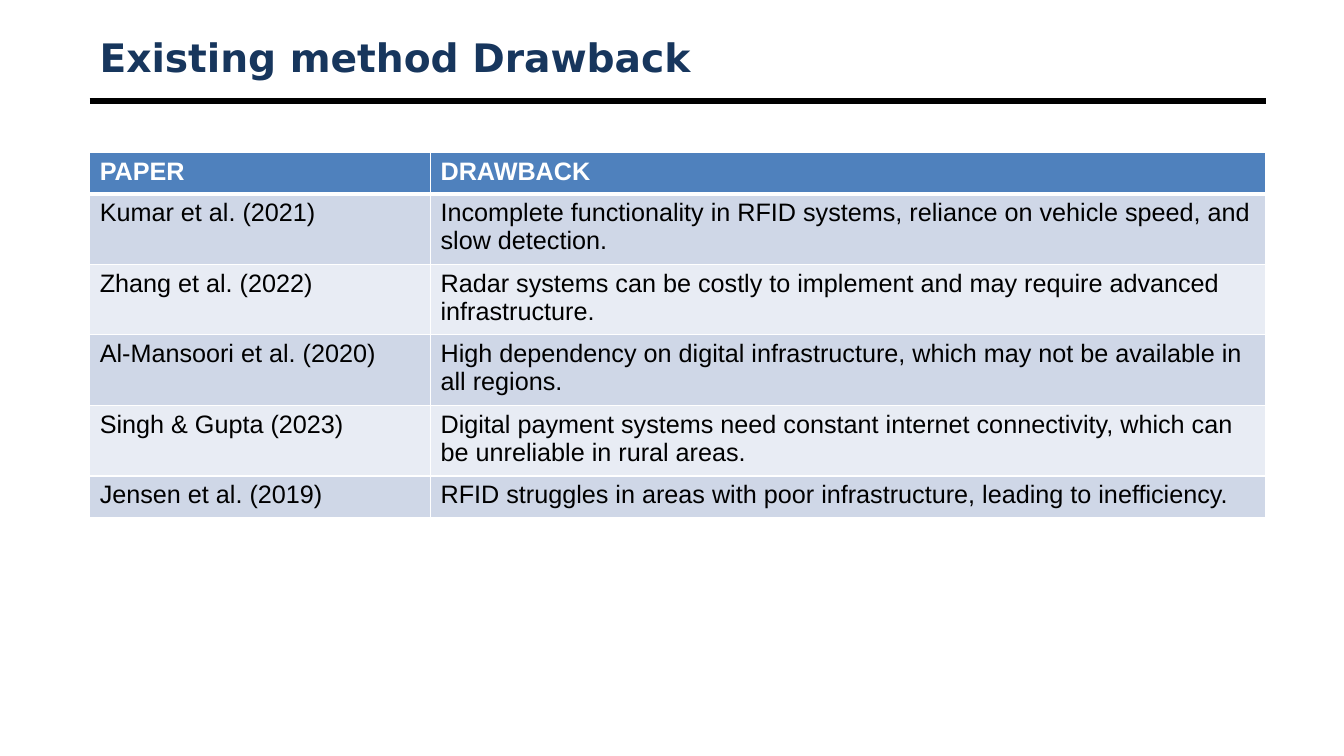
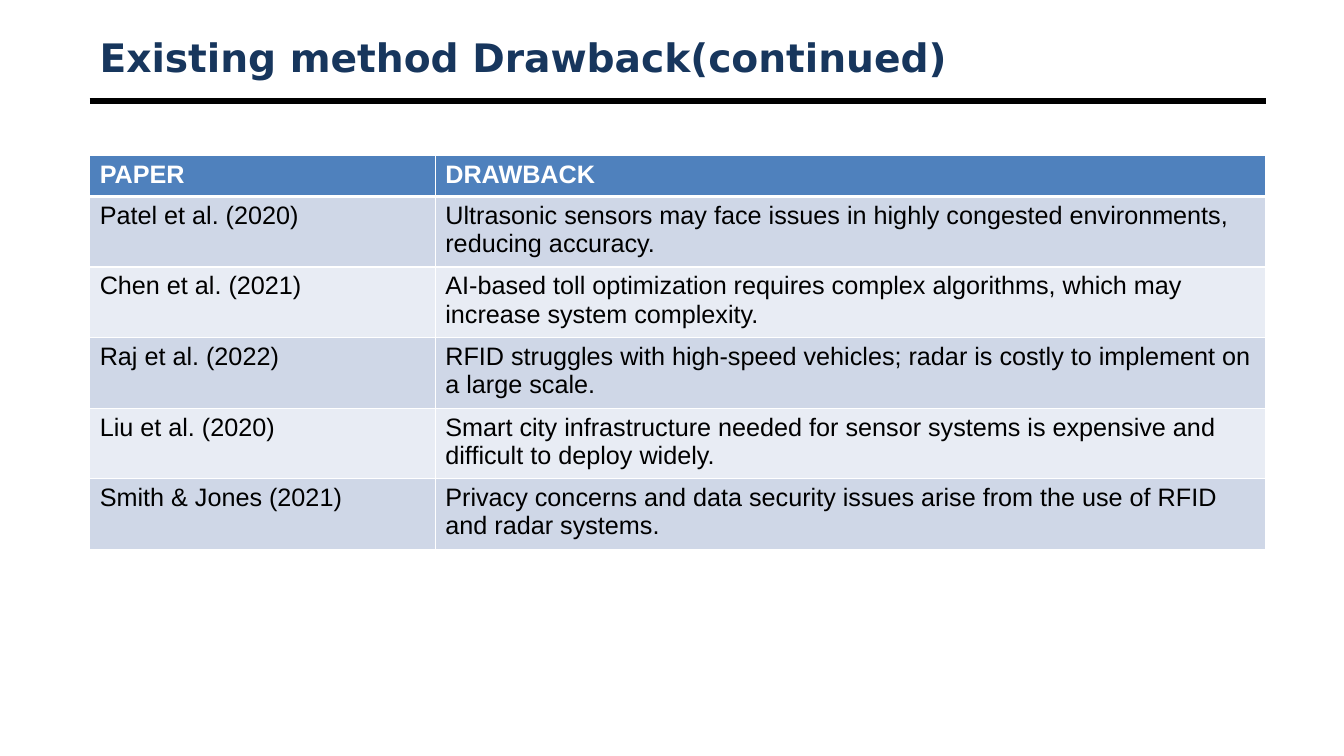
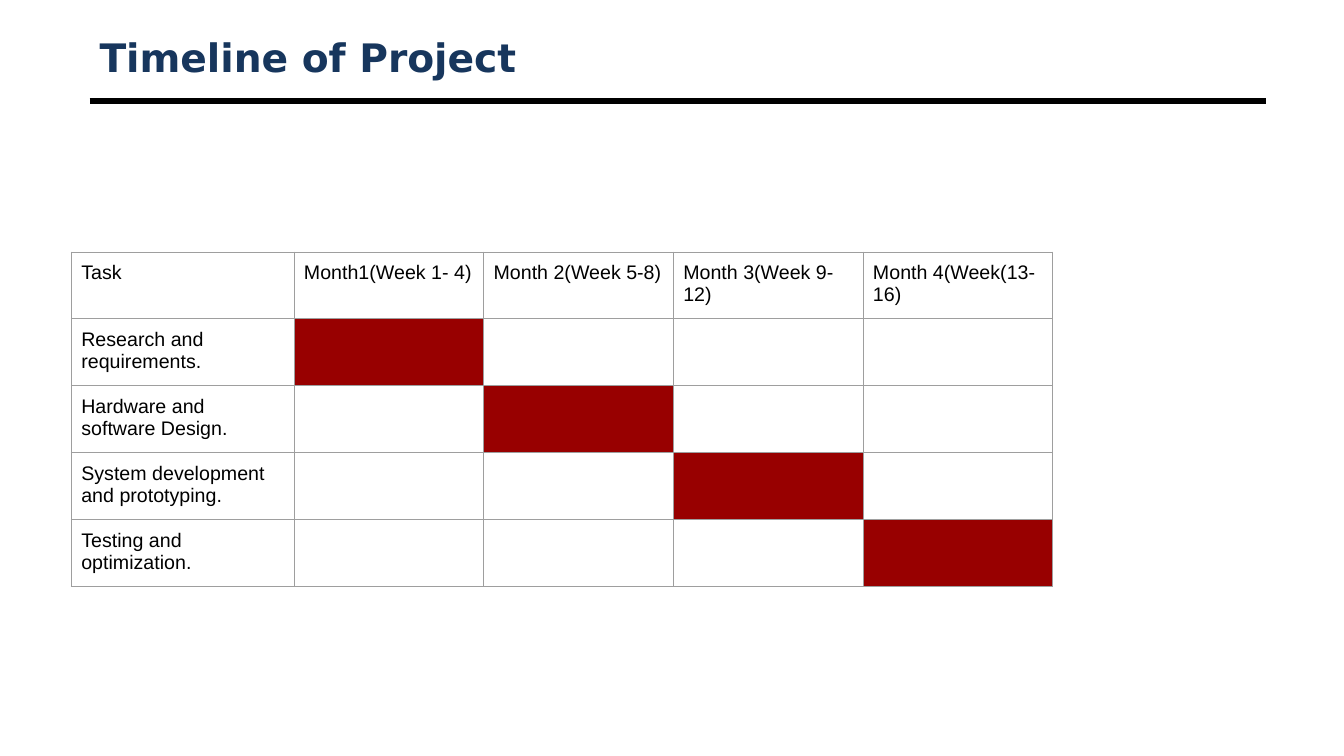
from dataclasses import dataclass

from lxml.etree import SubElement
from pptx import Presentation
from pptx.dml.color import RGBColor
from pptx.enum.shapes import MSO_CONNECTOR
from pptx.enum.text import MSO_ANCHOR
from pptx.oxml.ns import qn
from pptx.util import Cm, Pt


@dataclass(frozen=True)
class Theme:
    title_font: str = "DejaVu Sans"
    body_font: str = "Arial"
    title_size: float = 28
    table_size: float = 18
    timeline_size: float = 14
    title_color: str = "17365D"
    text_color: str = "000000"
    header_text: str = "FFFFFF"
    header_fill: str = "4F81BD"
    band_fills: tuple = ("CFD7E7", "E8ECF4")
    table_border: str = "FFFFFF"
    timeline_border: str = "9E9E9E"
    active_fill: str = "980000"
    rule_width: float = 4.5
    left: float = 2.26
    width: float = 29.64


THEME = Theme()

DRAWBACKS = [
    ("Kumar et al. (2021)",
     "Incomplete functionality in RFID systems, reliance on vehicle speed, and slow detection."),
    ("Zhang et al. (2022)",
     "Radar systems can be costly to implement and may require advanced infrastructure."),
    ("Al-Mansoori et al. (2020)",
     "High dependency on digital infrastructure, which may not be available in all regions."),
    ("Singh & Gupta (2023)",
     "Digital payment systems need constant internet connectivity, which can be unreliable in rural areas."),
    ("Jensen et al. (2019)",
     "RFID struggles in areas with poor infrastructure, leading to inefficiency."),
]

MORE_DRAWBACKS = [
    ("Patel et al. (2020)",
     "Ultrasonic sensors may face issues in highly congested environments, reducing accuracy."),
    ("Chen et al. (2021)",
     "AI-based toll optimization requires complex algorithms, which may increase system complexity."),
    ("Raj et al. (2022)",
     "RFID struggles with high-speed vehicles; radar is costly to implement on a large scale."),
    ("Liu et al. (2020)",
     "Smart city infrastructure needed for sensor systems is expensive and difficult to deploy widely."),
    ("Smith & Jones (2021)",
     "Privacy concerns and data security issues arise from the use of RFID and radar systems."),
]

MONTHS = ["Month1(Week 1- 4)", "Month 2(Week 5-8)", "Month 3(Week 9-12)", "Month 4(Week(13-16)"]

TASKS = [
    "Research and requirements.",
    "Hardware and software Design.",
    "System development and prototyping.",
    "Testing and optimization.",
]


def add_run(paragraph, text, font, size, color, bold=False):
    run = paragraph.add_run()
    run.text = text
    run.font.name = font
    run.font.size = Pt(size)
    run.font.bold = bold
    run.font.color.rgb = RGBColor.from_string(color)


def add_rule(slide):
    rule = slide.shapes.add_connector(
        MSO_CONNECTOR.STRAIGHT, Cm(THEME.left), Cm(2.54), Cm(THEME.left + THEME.width), Cm(2.54))
    rule.line.color.rgb = RGBColor.from_string(THEME.text_color)
    rule.line.width = Pt(THEME.rule_width)
    SubElement(rule._element.spPr, qn("a:effectLst"))


def add_titled_slide(presentation, title):
    slide = presentation.slides.add_slide(presentation.slide_layouts[6])
    add_rule(slide)
    shape = slide.shapes.add_textbox(Cm(THEME.left), Cm(0.76), Cm(THEME.width), Cm(1.35))
    frame = shape.text_frame
    frame.word_wrap = True
    frame.vertical_anchor = MSO_ANCHOR.MIDDLE
    add_run(frame.paragraphs[0], title, THEME.title_font, THEME.title_size, THEME.title_color, True)
    return slide


def add_plain_table(slide, left, top, column_widths, row_height, row_count):
    shape = slide.shapes.add_table(
        row_count, len(column_widths), Cm(left), Cm(top),
        Cm(sum(column_widths)), Cm(row_height * row_count))
    table = shape.table
    table.first_row = False
    table.horz_banding = False
    for column, width in zip(table.columns, column_widths):
        column.width = Cm(width)
    for row in table.rows:
        row.height = Cm(row_height)
    return table


def set_borders(cell, color, width, top=None, bottom=None):
    properties = cell._tc.get_or_add_tcPr()
    for side, side_width in (("L", width), ("R", width), ("T", top or width), ("B", bottom or width)):
        line = SubElement(properties, qn(f"a:ln{side}"), w=str(Pt(side_width)))
        fill = SubElement(line, qn("a:solidFill"))
        SubElement(fill, qn("a:srgbClr"), val=color)


def set_fill(cell, color):
    if color:
        cell.fill.solid()
        cell.fill.fore_color.rgb = RGBColor.from_string(color)
    else:
        cell.fill.background()


def add_drawback_table(slide, top, paper_width, entries):
    rows = [("PAPER", "DRAWBACK"), *entries]
    widths = [paper_width, THEME.width - paper_width]
    table = add_plain_table(slide, THEME.left, top, widths, 1.04, len(rows))
    for row_index, texts in enumerate(rows):
        header = row_index == 0
        fill = THEME.header_fill if header else THEME.band_fills[(row_index - 1) % 2]
        color = THEME.header_text if header else THEME.text_color
        for column_index, text in enumerate(texts):
            cell = table.cell(row_index, column_index)
            set_borders(cell, THEME.table_border, 1,
                        top=3 if row_index == 1 else None, bottom=3 if header else None)
            set_fill(cell, fill)
            add_run(cell.text_frame.paragraphs[0], text,
                    THEME.body_font, THEME.table_size, color, header)


def add_timeline(slide):
    widths = [5.61] + [4.78] * len(MONTHS)
    rows = [["Task", *MONTHS]] + [[task] + [""] * len(MONTHS) for task in TASKS]
    table = add_plain_table(slide, 1.8, 6.35, widths, 1.07, len(rows))
    for row_index, texts in enumerate(rows):
        for column_index, text in enumerate(texts):
            cell = table.cell(row_index, column_index)
            cell.margin_left = cell.margin_right = cell.margin_top = cell.margin_bottom = Cm(0.25)
            set_borders(cell, THEME.timeline_border, 0.75)
            active = row_index == column_index and row_index > 0
            set_fill(cell, THEME.active_fill if active else None)
            if text:
                add_run(cell.text_frame.paragraphs[0], text,
                        THEME.body_font, THEME.timeline_size, THEME.text_color)


def main():
    presentation = Presentation()
    presentation.slide_width = Cm(33.87)
    presentation.slide_height = Cm(19.05)
    slide = add_titled_slide(presentation, "Existing method Drawback")
    add_drawback_table(slide, 3.84, 8.59, DRAWBACKS)
    slide = add_titled_slide(presentation, "Existing method Drawback(continued)")
    add_drawback_table(slide, 3.91, 8.71, MORE_DRAWBACKS)
    slide = add_titled_slide(presentation, "Timeline of Project")
    add_timeline(slide)
    presentation.save("out.pptx")


if __name__ == "__main__":
    main()
